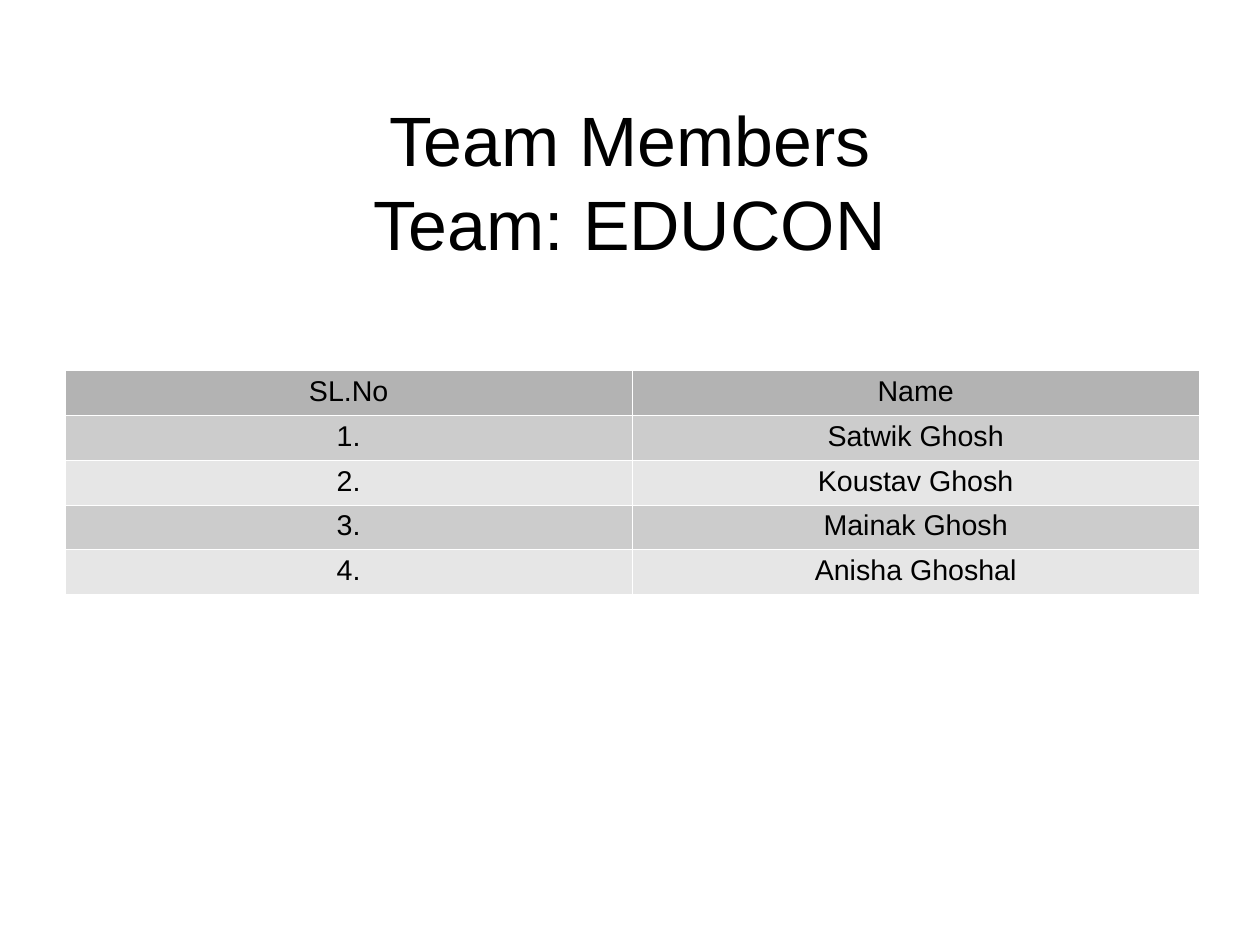
from lxml.etree import SubElement
from pptx import Presentation
from pptx.dml.color import RGBColor
from pptx.enum.text import MSO_ANCHOR, PP_ALIGN
from pptx.oxml.ns import qn
from pptx.util import Cm, Inches, Pt

BLACK = RGBColor(0x00, 0x00, 0x00)
WHITE = RGBColor(0xFF, 0xFF, 0xFF)
HEADER_GREY = RGBColor(0xB3, 0xB3, 0xB3)
BAND_GREYS = (RGBColor(0xCC, 0xCC, 0xCC), RGBColor(0xE6, 0xE6, 0xE6))

WIDTH, HEIGHT = Cm(28), Cm(21)
CONTENT_WIDTH = int(0.9 * WIDTH)
ROW_HEIGHT = Inches(0.38)
TITLE = "Team Members\nTeam: EDUCON"
HEADER = ("SL.No", "Name")
MEMBERS = ("Satwik Ghosh", "Koustav Ghosh", "Mainak Ghosh", "Anisha Ghoshal")


def write_centred(p, text, size):
    """Fill a paragraph with centred black Arial text."""
    p.text = text
    p.alignment = PP_ALIGN.CENTER
    for r in p.runs:
        r.font.name = "Arial"
        r.font.size = Pt(size)
        r.font.color.rgb = BLACK


def add_title(s):
    """Add the two-line title across the content width."""
    sp = s.shapes.add_textbox(int(0.05 * WIDTH), Inches(0.89),
                              CONTENT_WIDTH, HEIGHT // 6)
    tf = sp.text_frame
    tf.word_wrap = True
    tf.vertical_anchor = MSO_ANCHOR.MIDDLE
    tf.margin_left = tf.margin_right = tf.margin_top = tf.margin_bottom = 0
    write_centred(tf.paragraphs[0], TITLE, 44)


def add_borders(cell):
    """Draw hairline white borders on all four sides of a cell."""
    tc_pr = cell._tc.get_or_add_tcPr()
    for side in ("a:lnL", "a:lnR", "a:lnT", "a:lnB"):
        ln = SubElement(tc_pr, qn(side), w=str(int(Pt(0.06))))
        fill = SubElement(ln, qn("a:solidFill"))
        SubElement(fill, qn("a:srgbClr"), val=str(WHITE))


def add_members_table(s):
    """Add the numbered member table with alternating grey rows."""
    rows = [HEADER] + [(f"{i}.", name) for i, name in enumerate(MEMBERS, 1)]
    table = s.shapes.add_table(len(rows), len(HEADER), Inches(0.57), Inches(3.24),
                               CONTENT_WIDTH, ROW_HEIGHT * len(rows)).table
    table.first_row = table.horz_banding = False
    for i, values in enumerate(rows):
        table.rows[i].height = ROW_HEIGHT
        grey = BAND_GREYS[(i - 1) % 2] if i else HEADER_GREY
        for j, value in enumerate(values):
            cell = table.cell(i, j)
            cell.margin_top = cell.margin_bottom = Pt(3.3)
            add_borders(cell)
            cell.fill.solid()
            cell.fill.fore_color.rgb = grey
            write_centred(cell.text_frame.paragraphs[0], value, 18)


def main():
    """Build and save the team slide."""
    prs = Presentation()
    prs.slide_width, prs.slide_height = WIDTH, HEIGHT
    s = prs.slides.add_slide(prs.slide_layouts[6])
    add_title(s)
    add_members_table(s)
    prs.save("out.pptx")


if __name__ == "__main__":
    main()
